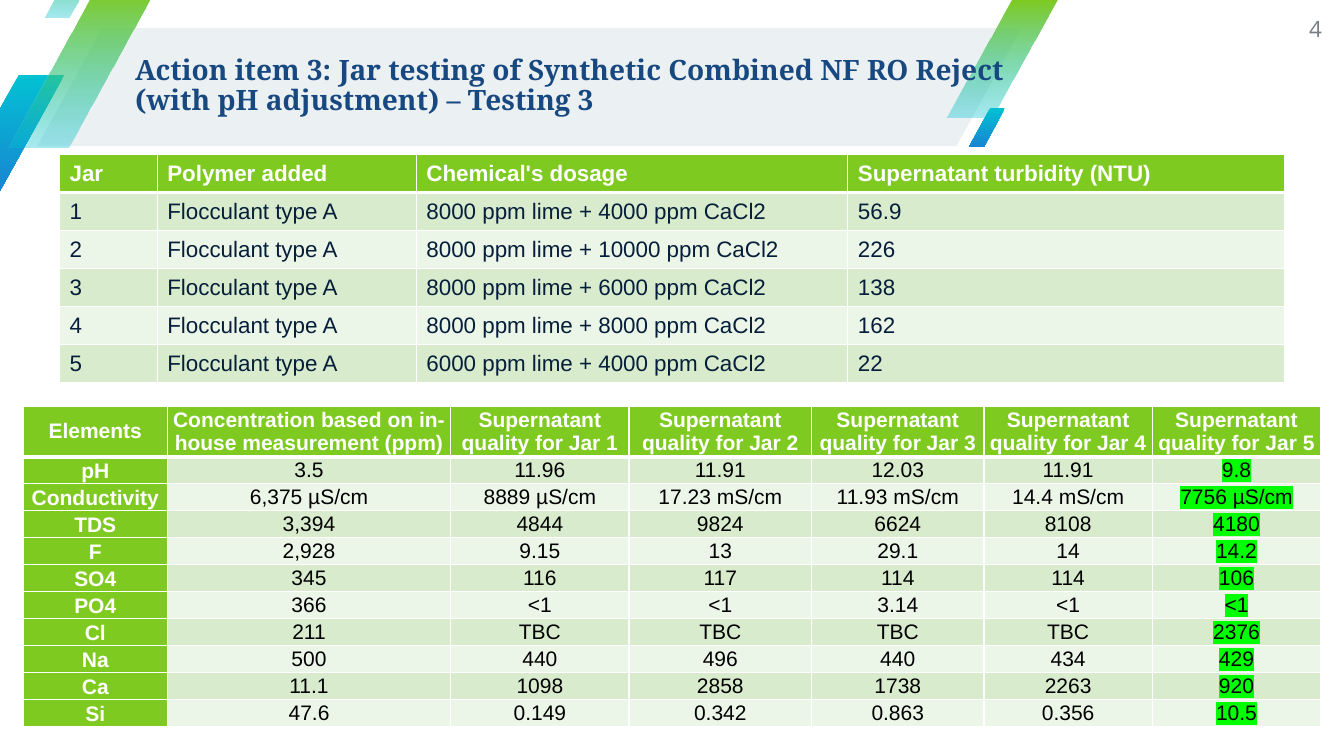
"""Build the jar testing results slide with its two result tables."""
from lxml.etree import SubElement
from pptx import Presentation
from pptx.dml.color import RGBColor
from pptx.enum.shapes import MSO_SHAPE as Shape
from pptx.enum.text import MSO_ANCHOR as Anchor, PP_ALIGN as Align
from pptx.oxml.ns import qn
from pptx.util import Inches, Pt

WHITE = RGBColor(0xFF, 0xFF, 0xFF)
BLACK = RGBColor(0x00, 0x00, 0x00)
GREEN = RGBColor(0x7F, 0xCA, 0x20)
CYAN = RGBColor(0x02, 0xC1, 0xD3)
BLUE = RGBColor(0x19, 0x85, 0xD2)
NAVY = RGBColor(0x18, 0x48, 0x80)
INK = RGBColor(0x06, 0x1E, 0x3A)
GRAY = RGBColor(0x75, 0x7C, 0x83)
PANEL = RGBColor(0xEB, 0xF0, 0xF3)
BANDS = (RGBColor(0xD8, 0xEC, 0xCD), RGBColor(0xEC, 0xF6, 0xE8))
HIGHLIGHT = RGBColor(0x00, 0xFF, 0x00)

TITLE = ("Action item 3: Jar testing of Synthetic Combined NF RO Reject "
         "(with pH adjustment) – Testing 3")
PAGE_NUMBER = "4"
POLYMER = "Flocculant type A"
DOSAGES = [
    ("8000 ppm lime + 4000 ppm CaCl2", "56.9"),
    ("8000 ppm lime + 10000 ppm CaCl2", "226"),
    ("8000 ppm lime + 6000 ppm CaCl2", "138"),
    ("8000 ppm lime + 8000 ppm CaCl2", "162"),
    ("6000 ppm lime + 4000 ppm CaCl2", "22"),
]
JAR_ROWS = [("Jar", "Polymer added", "Chemical's dosage", "Supernatant turbidity (NTU)")] + [
    (str(jar), POLYMER, dosage, turbidity) for jar, (dosage, turbidity) in enumerate(DOSAGES, 1)]
QUALITY_ROWS = [
    ("Elements", "Concentration based on in-house measurement (ppm)",
     *(f"Supernatant quality for Jar {jar}" for jar in range(1, 6))),
    ("pH", "3.5", "11.96", "11.91", "12.03", "11.91", "9.8"),
    ("Conductivity", "6,375 µS/cm", "8889 µS/cm", "17.23 mS/cm", "11.93 mS/cm",
     "14.4 mS/cm", "7756 µS/cm"),
    ("TDS", "3,394", "4844", "9824", "6624", "8108", "4180"),
    ("F", "2,928", "9.15", "13", "29.1", "14", "14.2"),
    ("SO4", "345", "116", "117", "114", "114", "106"),
    ("PO4", "366", "<1", "<1", "3.14", "<1", "<1"),
    ("Cl", "211", "TBC", "TBC", "TBC", "TBC", "2376"),
    ("Na", "500", "440", "496", "440", "434", "429"),
    ("Ca", "11.1", "1098", "2858", "1738", "2263", "920"),
    ("Si", "47.6", "0.149", "0.342", "0.863", "0.356", "10.5"),
]
JAR_COLUMNS = (0.97, 2.57, 4.28, 4.33)
QUALITY_COLUMNS = (1.43, 2.81, 1.77, 1.81, 1.71, 1.67, 1.67)

SOLID_BLUE = (CYAN, BLUE, 100)
FADING_GREEN = (GREEN, CYAN, 34)
STRIPES = [
    ((-0.46, 0.74, 1.1, 1.17), SOLID_BLUE),
    ((9.39, 0, 1.1, 1.17), FADING_GREEN),
    ((0.08, -0.1, 1.46, 1.56), FADING_GREEN),
    ((0.44, -0.48, 0.61, 0.65), FADING_GREEN),
    ((9.61, 1.07, 0.36, 0.39), SOLID_BLUE),
]

TITLE_FONT = {"name": "Noto Serif", "size": Pt(20), "bold": True}
NUMBER_FONT = {"name": "Open Sans", "size": Pt(16)}
JAR_FONT = {"name": "Arial", "size": Pt(16)}
QUALITY_FONT = {"name": "Arial", "size": Pt(15)}
CENTERED = {"alignment": Align.CENTER}
ROW_LABEL = {"alignment": Align.CENTER, "line_spacing": 1.07, "space_after": Pt(8)}
LABEL_MARGINS = {"margin_left": Inches(0.03), "margin_top": 0,
                 "margin_right": Inches(0.03), "margin_bottom": 0}
VALUE_MARGINS = {"margin_left": Inches(0.01), "margin_top": Inches(0.01),
                 "margin_right": Inches(0.01), "margin_bottom": 0}
NO_MARGINS = dict.fromkeys(LABEL_MARGINS, 0)


def apply(target, values):
    for name, value in values.items():
        setattr(target, name, value)


def write(paragraph, text, font, color, layout):
    run = paragraph.add_run()
    run.text = text
    apply(run.font, font)
    run.font.color.rgb = color
    apply(paragraph, layout)
    return run


def add_text(slide, box, text, font, color, layout):
    frame = slide.shapes.add_textbox(*map(Inches, box)).text_frame
    apply(frame, {"word_wrap": True, "vertical_anchor": Anchor.MIDDLE, **NO_MARGINS})
    write(frame.paragraphs[0], text, font, color, layout)


def add_parallelogram(slide, box, slant):
    shape = slide.shapes.add_shape(Shape.PARALLELOGRAM, *map(Inches, box))
    shape.adjustments[0] = slant
    shape.shadow.inherit = False
    shape.line.fill.background()
    return shape


def add_stripe(slide, box, top_color, bottom_color, opacity):
    shape = add_parallelogram(slide, box, 0.59)
    shape.fill.gradient()
    shape.fill.gradient_angle = 270
    for stop, color in zip(shape.fill.gradient_stops, (top_color, bottom_color)):
        stop.color.rgb = color
    if opacity < 100:
        bottom = list(shape.element.spPr.iter(qn("a:srgbClr")))[-1]
        SubElement(bottom, qn("a:alpha"), val=str(opacity * 1000))


def add_borders(cell, row):
    properties = cell._tc.get_or_add_tcPr()
    widths = {"L": 1, "R": 1, "T": 3 if row == 1 else 1, "B": 3 if row == 0 else 1}
    for side, width in widths.items():
        line = SubElement(properties, qn(f"a:ln{side}"), w=str(Pt(width)))
        SubElement(SubElement(line, qn("a:solidFill")), qn("a:srgbClr"), val=str(WHITE))


def add_highlight(run):
    highlight = SubElement(run.font._element, qn("a:highlight"))
    SubElement(highlight, qn("a:srgbClr"), val=str(HIGHLIGHT))
    run.font._element.find(qn("a:solidFill")).addnext(highlight)


def add_results(slide, box, columns, rows, header_height, font, color, has_labels):
    table = slide.shapes.add_table(len(rows), len(columns), *map(Inches, box)).table
    for column, width in zip(table.columns, columns):
        column.width = Inches(width)
    body_height = (box[3] - header_height) / (len(rows) - 1)
    for r, values in enumerate(rows):
        table.rows[r].height = Inches(body_height if r else header_height)
        for c, text in enumerate(values):
            cell = table.cell(r, c)
            is_label = has_labels and c == 0
            is_green = r == 0 or is_label
            add_borders(cell, r)
            cell.fill.solid()
            cell.fill.fore_color.rgb = GREEN if is_green else BANDS[(r - 1) % 2]
            cell.vertical_anchor = Anchor.MIDDLE
            layout = {}
            if has_labels:
                apply(cell, LABEL_MARGINS if is_green else VALUE_MARGINS)
                layout = ROW_LABEL if is_label and r else CENTERED
            run = write(cell.text_frame.paragraphs[0], text, {**font, "bold": is_green},
                        WHITE if is_green else color, layout)
            if has_labels and r and c == len(columns) - 1:
                add_highlight(run)


def main():
    presentation = Presentation()
    presentation.slide_width, presentation.slide_height = Inches(13.33), Inches(7.5)
    slide = presentation.slides.add_slide(presentation.slide_layouts[6])
    panel = add_parallelogram(slide, (0.37, 0.28, 9.76, 1.17), 0.55)
    panel.fill.solid()
    panel.fill.fore_color.rgb = PANEL
    for box, gradient in STRIPES:
        add_stripe(slide, box, *gradient)
    add_text(slide, (1.34, 0.26, 8.79, 1.19), TITLE, TITLE_FONT, NAVY, {"line_spacing": 0.9})
    add_text(slide, (12.48, 0, 0.63, 0.57), PAGE_NUMBER, NUMBER_FONT, GRAY,
             {"alignment": Align.RIGHT})
    add_results(slide, (0.23, 4.03, 12.87, 3.07), QUALITY_COLUMNS, QUALITY_ROWS, 0.5,
                QUALITY_FONT, BLACK, True)
    add_results(slide, (0.59, 1.53, 12.15, 2.27), JAR_COLUMNS, JAR_ROWS, 0.38,
                JAR_FONT, INK, False)
    presentation.save("out.pptx")


if __name__ == "__main__":
    main()
